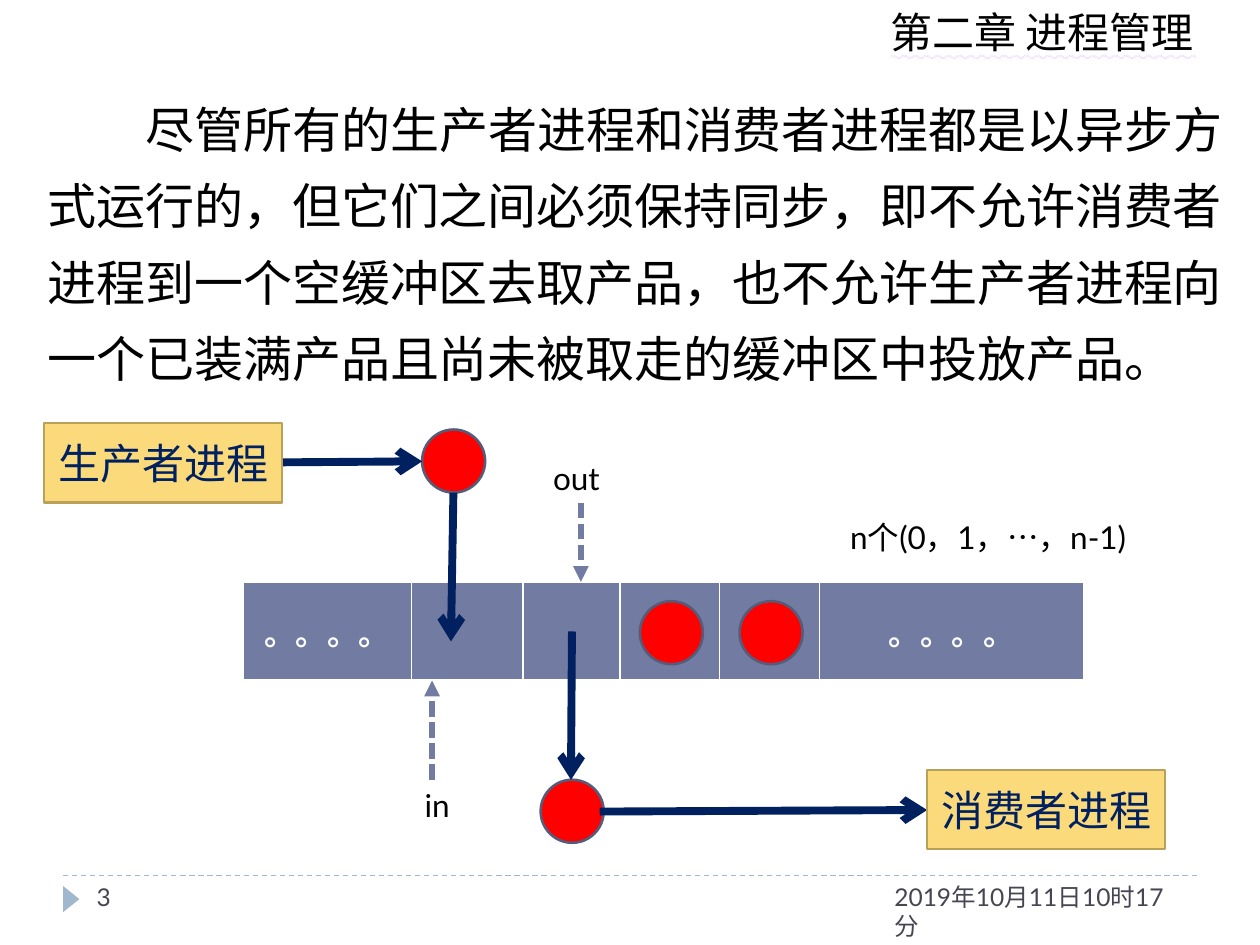
"""Build the producer and consumer bounded-buffer slide."""
from dataclasses import dataclass

import pptx
import pptx.dml.color
import pptx.enum.dml
import pptx.enum.shapes
import pptx.enum.text
import pptx.oxml
import pptx.oxml.ns
import pptx.util
from lxml import etree
from pptx.util import Cm

SHAPE = pptx.enum.shapes.MSO_SHAPE
ALIGN = pptx.enum.text.PP_ALIGN
ANCHOR = pptx.enum.text.MSO_ANCHOR
DASH = pptx.enum.dml.MSO_LINE
qn = pptx.oxml.ns.qn


@dataclass(frozen=True)
class Theme:
    latin: str = "Lato"
    body_latin: str = "Arial"
    east_asian: str = "Noto Sans CJK SC"
    text: str = "000000"
    muted: str = "464653"
    white: str = "FFFFFF"
    rule: str = "9FB8CD"
    wave: str = "CC99FF"
    buffer: str = "727CA3"
    product: str = "FF0000"
    product_edge: str = "545C79"
    process: str = "FADA7A"
    process_edge: str = "B9A15A"
    flow: str = "002060"
    body_size: int = 28
    heading_size: int = 24
    label_size: int = 18
    footer_size: int = 14


T = Theme()


def rgb(value):
    return pptx.dml.color.RGBColor.from_string(value)


def style_paragraph(p, size, color, latin=T.latin, bold=None):
    p.font.size = pptx.util.Pt(size)
    p.font.color.rgb = rgb(color)
    p.font.name = latin
    p.font.bold = bold
    r_pr = p._p.pPr.find(qn("a:defRPr"))
    etree.SubElement(r_pr, qn("a:ea"), typeface=T.east_asian)
    return r_pr


def add_text(s, box, text, size, color=T.text, latin=T.latin, wrap=True):
    sp = s.shapes.add_textbox(*map(Cm, box))
    tf = sp.text_frame
    tf.word_wrap = wrap
    p = tf.paragraphs[0]
    p.text = text
    style_paragraph(p, size, color, latin)
    return p


def add_heading(s, box, text):
    p = add_text(s, box, text, T.heading_size, wrap=False)
    p.font.underline = pptx.enum.text.MSO_UNDERLINE.WAVY_DOUBLE_LINE
    r_pr = p._p.pPr.find(qn("a:defRPr"))
    u_fill = pptx.oxml.parse_xml(
        f'<a:uFill {pptx.oxml.ns.nsdecls("a")}><a:solidFill>'
        f'<a:srgbClr val="{T.wave}"/></a:solidFill></a:uFill>')
    r_pr.find(qn("a:latin")).addprevious(u_fill)


def add_shape(s, kind, box, fill, edge=None):
    sp = s.shapes.add_shape(kind, *map(Cm, box))
    sp.shadow.inherit = False
    sp.fill.solid()
    sp.fill.fore_color.rgb = rgb(fill)
    if edge:
        sp.line.color.rgb = rgb(edge)
        sp.line.width = pptx.util.Pt(1.5)
    else:
        sp.line.fill.background()
    return sp


def add_product(s, left, top):
    add_shape(s, SHAPE.FLOWCHART_CONNECTOR, (left, top, 1.27, 1.27),
              T.product, T.product_edge)


def add_process(s, left, top, text):
    sp = add_shape(s, SHAPE.RECTANGLE, (left, top, 4.8, 1.6),
                   T.process, T.process_edge)
    tf = sp.text_frame
    tf.vertical_anchor = ANCHOR.MIDDLE
    p = tf.paragraphs[0]
    p.text = text
    p.alignment = ALIGN.CENTER
    style_paragraph(p, T.heading_size, T.flow)


def add_line(s, ends, color, width, dash=None, head=None):
    cx = s.shapes.add_connector(
        pptx.enum.shapes.MSO_CONNECTOR.STRAIGHT, *map(Cm, ends))
    cx.line.color.rgb = rgb(color)
    cx.line.width = pptx.util.Pt(width)
    if dash:
        cx.line.dash_style = dash
    if head:
        etree.SubElement(cx.line._get_or_add_ln(), qn("a:tailEnd"), type=head)
    etree.SubElement(cx._element.spPr, qn("a:effectLst"))


def add_borders(cell):
    tc_pr = cell._tc.get_or_add_tcPr()
    for i, (side, width) in enumerate(zip("LRTB", (1, 1, 1, 3))):
        tc_pr.insert(i, pptx.oxml.parse_xml(
            f'<a:ln{side} {pptx.oxml.ns.nsdecls("a")} w="{width * 12700}">'
            f'<a:solidFill><a:srgbClr val="{T.white}"/></a:solidFill>'
            f'</a:ln{side}>'))


def add_buffer(s, left, top, height, widths, texts):
    frame = s.shapes.add_table(1, len(widths), Cm(left), Cm(top),
                               Cm(sum(widths)), Cm(height))
    table = frame.table
    table.first_row = table.horz_banding = False
    for column, cell, width, text in zip(
            table.columns, table.iter_cells(), widths, texts):
        column.width = Cm(width)
        cell.fill.solid()
        cell.fill.fore_color.rgb = rgb(T.buffer)
        add_borders(cell)
        if text:
            cell.vertical_anchor = ANCHOR.MIDDLE
            p = cell.text_frame.paragraphs[0]
            p.text = text
            p.alignment = ALIGN.CENTER
            style_paragraph(p, T.label_size, T.white, bold=True)


def main():
    prs = pptx.Presentation()
    prs.slide_width, prs.slide_height = Cm(25.4), Cm(19.05)
    s = prs.slides.add_slide(prs.slide_layouts[6])

    add_line(s, (1.27, 17.65, 24.13, 17.65), T.rule, 0.75, DASH.DASH)
    marker = add_shape(s, SHAPE.ISOSCELES_TRIANGLE,
                       (1.17, 17.96, 0.53, 0.33), T.rule)
    marker.rotation = 90
    add_heading(s, (17.7, 0, 6.76, 1.27), "第二章 进程管理")
    add_text(s, (17.78, 17.65, 6.35, 1.02), "2019年10月11日10时17分",
             T.footer_size, T.muted)
    add_text(s, (1.7, 17.65, 5.51, 1.02), "3", T.footer_size, T.muted)
    body = add_text(
        s, (0.71, 1.52, 24.69, 6.48),
        "  尽管所有的生产者进程和消费者进程都是以异步方式运行的，"
        "但它们之间必须保持同步，即不允许消费者进程到一个空缓冲区去取产品，"
        "也不允许生产者进程向一个已装满产品且尚未被取走的缓冲区中投放产品。".strip(),
        T.body_size, latin=T.body_latin)
    body.line_spacing = 1.3
    body._p.pPr.set("indent", str(Cm(1.98)))

    dots = "。。。。"
    add_buffer(s, 4.9, 11.73, 2.01, (3.4, 2.24, 1.96, 2.01, 2.01, 5.33),
               (dots, "", "", "", "", dots))
    for left, top in ((14.91, 12.12), (12.9, 12.12), (10.9, 15.72), (8.51, 8.66)):
        add_product(s, left, top)
    for ends in ((9.14, 9.93, 9.09, 12.93), (11.53, 12.73, 11.51, 15.72),
                 (5.69, 9.32, 8.51, 9.3), (12.09, 16.36, 18.69, 16.33)):
        add_line(s, ends, T.flow, 4.5, head="arrow")
    add_process(s, 0.89, 8.53, "生产者进程")
    add_process(s, 18.69, 15.52, "消费者进程")

    add_text(s, (16.89, 10.31, 6.22, 1.02), "n个(0，1，…，n-1)", T.label_size)
    for ends, box, name in (
            ((8.71, 15.72, 8.71, 13.72), (8.31, 15.72, 1.07, 1.02), "in"),
            ((11.71, 10.13, 11.71, 11.73), (10.9, 9.12, 1.55, 1.02), "out")):
        add_line(s, ends, T.buffer, 3, DASH.SQUARE_DOT, "triangle")
        add_text(s, box, name, T.label_size, wrap=False)

    prs.save("out.pptx")


if __name__ == "__main__":
    main()
